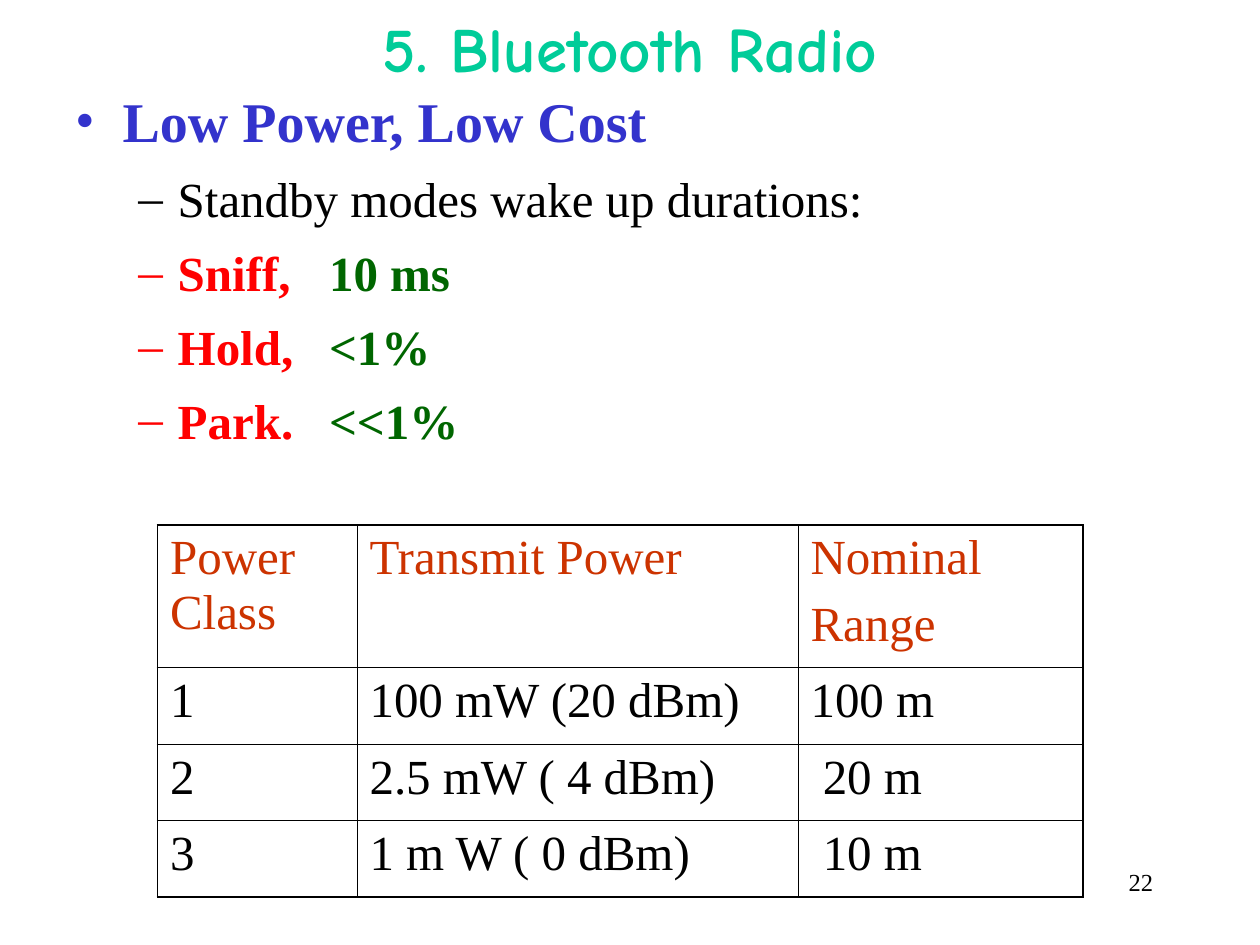
from lxml import etree
from pptx import Presentation
from pptx.dml.color import RGBColor
from pptx.enum.text import MSO_ANCHOR, PP_ALIGN
from pptx.oxml.ns import qn
from pptx.util import Pt

LEFT, CENTER, RIGHT = PP_ALIGN.LEFT, PP_ALIGN.CENTER, PP_ALIGN.RIGHT
TOP, MIDDLE = MSO_ANCHOR.TOP, MSO_ANCHOR.MIDDLE

COLORS = {
    "title": "00CC99",
    "topic": "3333CC",
    "mode": "FF0000",
    "value": "006600",
    "header": "CC3300",
    "text": "000000",
}
TITLE_FONT = "Comic Neue"
BODY_FONT = "Times New Roman"
OUTER_LINE, INNER_LINE = 1.08, 0.45


def color(name):
    return RGBColor.from_string(COLORS[name])


def add_element(parent, tag, **attributes):
    element = etree.SubElement(parent, qn(tag))
    for name, value in attributes.items():
        element.set(name, str(value))
    return element


class SlideBuilder:
    """Holds the text style and the current slide."""

    def __init__(self, slide, font=BODY_FONT, size=28):
        self.slide = slide
        self.font = font
        self.size = size

    def style(self, paragraph, color_name=None, size=None, bold=False, font=None):
        paragraph.font.name = font or self.font
        paragraph.font.size = Pt(size or self.size)
        paragraph.font.bold = bold
        if color_name:
            paragraph.font.color.rgb = color(color_name)

    def text_box(self, left, top, width, height, anchor=TOP):
        box = self.slide.shapes.add_textbox(Pt(left), Pt(top), Pt(width), Pt(height))
        frame = box.text_frame
        frame.word_wrap = True
        frame.vertical_anchor = anchor
        return frame

    def label(self, text, box, align, anchor=TOP, **style):
        paragraph = self.text_box(*box, anchor).paragraphs[0]
        paragraph.text = text
        paragraph.alignment = align
        self.style(paragraph, **style)

    def bullet(self, paragraph, runs, char, margin, hanging, tabs=(), **style):
        """Runs are (text, colour) pairs; the bullet takes the first colour."""
        properties = paragraph._p.get_or_add_pPr()
        properties.set("marL", str(Pt(margin)))
        properties.set("indent", str(-Pt(hanging)))
        bullet_color = add_element(properties, "a:buClr")
        add_element(bullet_color, "a:srgbClr", val=COLORS[runs[0][1]])
        add_element(properties, "a:buFont", typeface=self.font)
        add_element(properties, "a:buChar", char=char)
        if tabs:
            tab_list = add_element(properties, "a:tabLst")
            for position in tabs:
                add_element(tab_list, "a:tab", pos=Pt(position), algn="l")
        self.style(paragraph, **style)
        for text, color_name in runs:
            run = paragraph.add_run()
            run.text = text
            run.font.color.rgb = color(color_name)

    def border(self, cell, side, width):
        line = add_element(cell._tc.get_or_add_tcPr(), f"a:ln{side}", w=Pt(width))
        fill = add_element(line, "a:solidFill")
        add_element(fill, "a:srgbClr", val=COLORS["text"])

    def table(self, rows, left, top, widths, heights):
        row_count, column_count = len(rows), len(widths)
        table = self.slide.shapes.add_table(
            row_count, column_count, Pt(left), Pt(top),
            Pt(sum(widths)), Pt(sum(heights))).table
        table.first_row = table.horz_banding = False
        for column, width in zip(table.columns, widths):
            column.width = Pt(width)
        for row, height in zip(table.rows, heights):
            row.height = Pt(height)
        for i, row in enumerate(rows):
            for j, text in enumerate(row):
                cell = table.cell(i, j)
                # Thick lines run only around the outside
                outside = {"L": j == 0, "R": j == column_count - 1,
                           "T": i == 0, "B": i == row_count - 1}
                for side, is_outer in outside.items():
                    self.border(cell, side, OUTER_LINE if is_outer else INNER_LINE)
                cell.fill.background()
                cell.text = text
                for k, paragraph in enumerate(cell.text_frame.paragraphs):
                    if k:
                        paragraph.space_before = Pt(7)
                    self.style(paragraph, "text" if i else "header")


def main():
    presentation = Presentation()
    presentation.slide_width, presentation.slide_height = Pt(720), Pt(540)
    slide = presentation.slides.add_slide(presentation.slide_layouts[6])
    builder = SlideBuilder(slide)

    # Slide number and title
    builder.label("22", (516, 492, 150, 36), RIGHT, color_name="text", size=14)
    builder.label("5. Bluetooth Radio", (54, 0, 612, 54), CENTER, MIDDLE,
                  color_name="title", size=36, bold=True, font=TITLE_FONT)

    # Topic with its standby modes
    frame = builder.text_box(36, 42, 654, 246)
    frame.margin_top = Pt(7.6)
    builder.bullet(frame.paragraphs[0], [("Low Power, Low Cost", "topic")],
                   "•", 27, 27, size=32, bold=True)
    # The value stop is given from the indent and from the frame edge,
    # since programs measure tabs from either one
    margin, value_offset = 58.5, 86.5
    tabs = (value_offset, margin + value_offset)
    items = [[("Standby modes wake up durations:", "text")]]
    for mode, value in (("Sniff,", "10 ms"), ("Hold,", "<1%"), ("Park.", "<<1%")):
        items.append([(mode + "\t", "mode"), (value, "value")])
    for runs in items:
        paragraph = frame.add_paragraph()
        has_value = len(runs) > 1
        builder.bullet(paragraph, runs, "–", margin, 22.5,
                       tabs if has_value else (), bold=has_value)
        paragraph.space_before = Pt(8.5)

    # Power classes
    builder.table(
        [("Power Class", "Transmit Power", "Nominal\nRange"),
         ("1", "100 mW (20 dBm)", "100 m"),
         ("2", "2.5 mW ( 4 dBm)", " 20 m"),
         ("3", "1 m W ( 0 dBm)", " 10 m")],
        left=90, top=300, widths=(114, 252, 163), heights=(81.4, 43.8, 43.8, 43.4))

    presentation.save("out.pptx")


if __name__ == "__main__":
    main()
